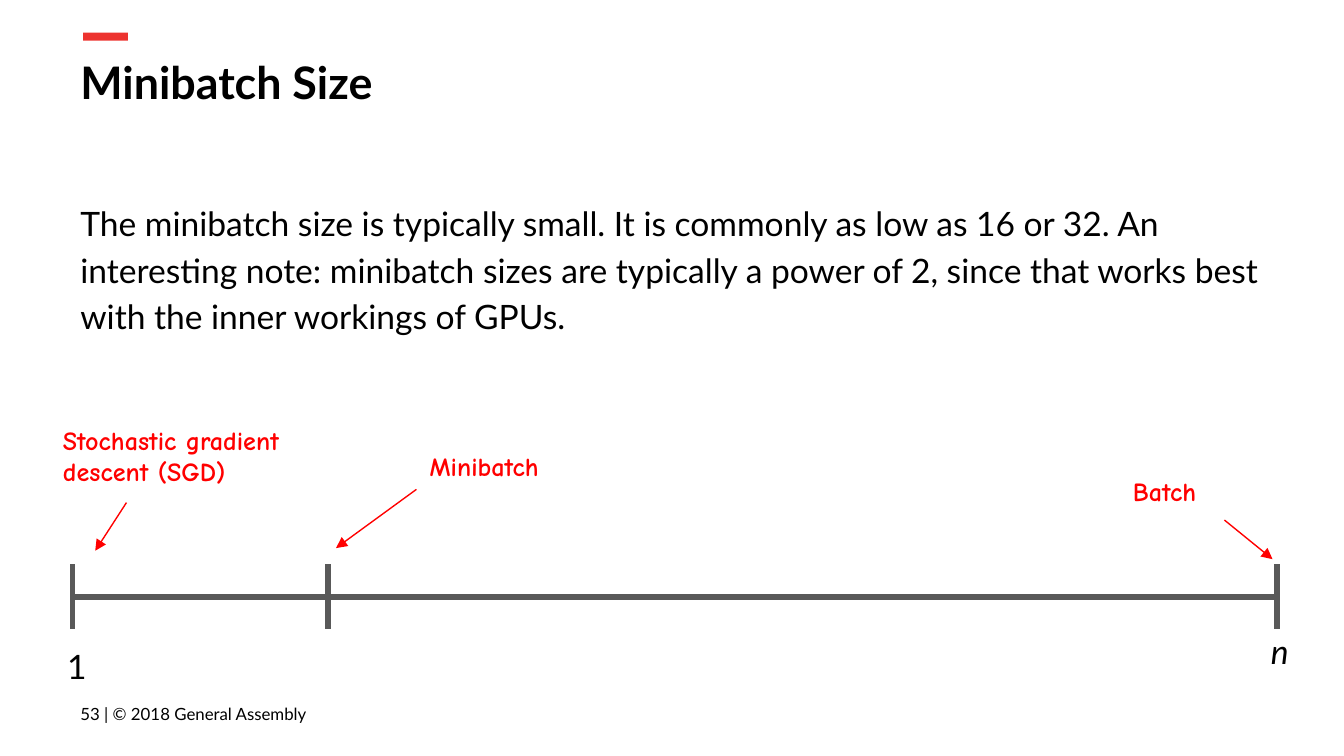
from dataclasses import dataclass

from lxml import etree
from pptx import Presentation
from pptx.dml.color import RGBColor
from pptx.enum.shapes import MSO_CONNECTOR, MSO_SHAPE
from pptx.enum.text import MSO_ANCHOR
from pptx.oxml.ns import qn
from pptx.slide import Slide
from pptx.util import Cm, Pt

STRAIGHT = MSO_CONNECTOR.STRAIGHT
RECTANGLE = MSO_SHAPE.RECTANGLE
TOP, MIDDLE = MSO_ANCHOR.TOP, MSO_ANCHOR.MIDDLE

COLOURS = {"accent": "ED332F", "text": "000000", "axis": "595959", "note": "FF0000"}
INSET = 0.25
AXIS_LEFT, AXIS_RIGHT, AXIS_Y = 1.37, 24.13, 11.28
TICK_HALF = 0.61
MINIBATCH_X = 6.2


@dataclass(frozen=True)
class Label:
    text: str
    left: float
    top: float
    width: float
    height: float
    size: float
    font: str = "Lato"
    colour: str = "text"
    bold: bool = False
    italic: bool = False
    anchor: MSO_ANCHOR = TOP
    line_spacing: float = 1.0
    space_after: float = 0


@dataclass(frozen=True)
class Line:
    start: tuple[float, float]
    end: tuple[float, float]
    colour: str = "axis"
    width: float = 3
    arrow: bool = False


def note(text: str, left: float, top: float, width: float, height: float) -> Label:
    return Label(text, left, top, width, height, 14, "Comic Neue", "note", bold=True)


def arrow(start: tuple[float, float], end: tuple[float, float]) -> Line:
    return Line(start, end, "note", 0.75, arrow=True)


LABELS = [
    Label("Minibatch Size", 1.27, 0.79, 23.67, 1.6, 24, bold=True),
    Label(
        "The minibatch size is typically small. It is commonly as low as 16 or 32. "
        "An interesting note: minibatch sizes are typically a power of 2, since that "
        "works best with the inner workings of GPUs.",
        1.27, 3.48, 22.83, 3.18, 18, line_spacing=1.15, space_after=16,
    ),
    Label("53 | © 2018 General Assembly", 1.27, 12.95, 7.95, 1.09, 9, anchor=MIDDLE),
    note("Batch", 21.16, 8.74, 1.98, 1.09),
    note("Stochastic gradient descent (SGD)", 0.94, 7.77, 5.92, 1.6),
    note("Minibatch", 7.87, 8.26, 2.9, 1.09),
    Label("1", 1.02, 11.96, 0.69, 0.91, 18),
    Label("n", 23.77, 11.68, 0.69, 0.91, 18, italic=True),
]

TICKS = [
    Line((x, AXIS_Y - TICK_HALF), (x, AXIS_Y + TICK_HALF))
    for x in (AXIS_LEFT, AXIS_RIGHT, MINIBATCH_X)
]
LINES = [
    Line((AXIS_LEFT, AXIS_Y), (AXIS_RIGHT, AXIS_Y)),
    *TICKS,
    arrow((23.14, 9.83), (24.05, 10.57)),
    arrow((2.39, 9.5), (1.8, 10.41)),
    arrow((7.87, 9.25), (6.35, 10.36)),
]


def rgb(name: str) -> RGBColor:
    return RGBColor.from_string(COLOURS[name])


def add_accent_bar(slide: Slide) -> None:
    shape = slide.shapes.add_shape(RECTANGLE, Cm(1.57), Cm(0.62), Cm(0.85), Cm(0.15))
    shape.shadow.inherit = False
    shape.fill.solid()
    shape.fill.fore_color.rgb = rgb("accent")
    shape.line.fill.background()


def add_label(slide: Slide, label: Label) -> None:
    shape = slide.shapes.add_textbox(
        Cm(label.left), Cm(label.top), Cm(label.width), Cm(label.height)
    )
    frame = shape.text_frame
    frame.word_wrap = True
    frame.vertical_anchor = label.anchor
    frame.margin_left = frame.margin_right = Cm(INSET)
    frame.margin_top = frame.margin_bottom = Cm(INSET)
    paragraph = frame.paragraphs[0]
    paragraph.line_spacing = label.line_spacing
    paragraph.space_after = Pt(label.space_after)
    run = paragraph.add_run()
    run.text = label.text
    run.font.name = label.font
    run.font.size = Pt(label.size)
    run.font.bold = label.bold
    run.font.italic = label.italic
    run.font.color.rgb = rgb(label.colour)


def add_line(slide: Slide, line: Line) -> None:
    points = [Cm(value) for value in (*line.start, *line.end)]
    connector = slide.shapes.add_connector(STRAIGHT, *points)
    connector.line.color.rgb = rgb(line.colour)
    connector.line.width = Pt(line.width)
    properties = connector.element.spPr
    if line.arrow:
        outline = properties.find(qn("a:ln"))
        etree.SubElement(outline, qn("a:tailEnd"), type="triangle")
    etree.SubElement(properties, qn("a:effectLst"))


def main() -> None:
    """Build the minibatch size slide and save it."""
    presentation = Presentation()
    presentation.slide_width = Cm(25.4)
    presentation.slide_height = Cm(14.29)
    slide = presentation.slides.add_slide(presentation.slide_layouts[6])
    add_accent_bar(slide)
    for line in LINES:
        add_line(slide, line)
    for label in LABELS:
        add_label(slide, label)
    presentation.save("out.pptx")


if __name__ == "__main__":
    main()
